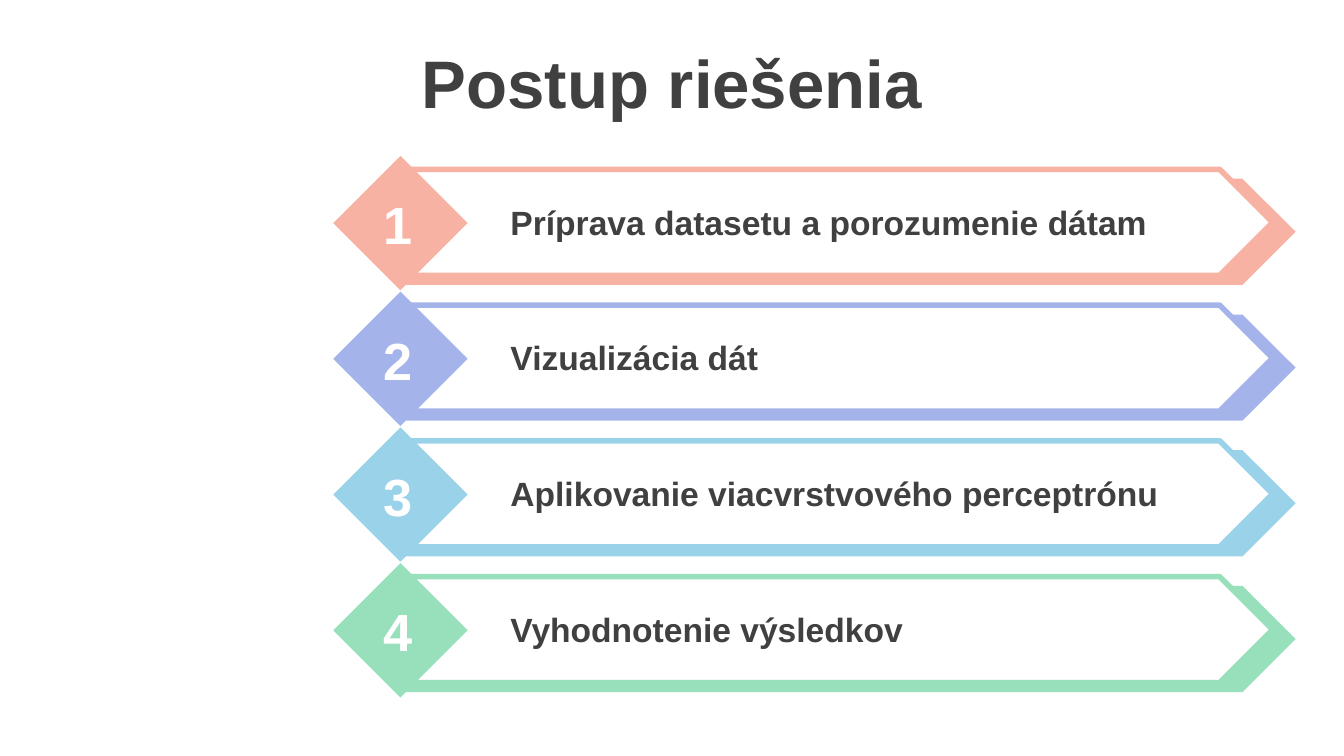
"""Build the slide with four numbered solution steps."""
from pptx import Presentation
from pptx import util as u
from pptx.dml.color import RGBColor
from pptx.enum import shapes, text

STEPS = [
    ("Príprava datasetu a porozumenie dátam", "F8B2A3"),
    ("Vizualizácia dát", "A4B4EA"),
    ("Aplikovanie viacvrstvového perceptrónu", "9AD3E9"),
    ("Vyhodnotenie výsledkov", "98DFBB"),
]
DARK, WHITE = "404040", "FFFFFF"
TOP, PITCH = 1.16, 1.01
BAR_X, BAR_H = 3, 0.79
KINDS = shapes.MSO_SHAPE


def rgb(value):
    return RGBColor.from_string(value)


def write(sp, words, size=18, color=DARK, align=text.PP_ALIGN.LEFT,
          anchor=text.MSO_ANCHOR.TOP):
    tf = sp.text_frame
    tf.word_wrap = True
    tf.auto_size = text.MSO_AUTO_SIZE.NONE
    tf.vertical_anchor = anchor
    p = tf.paragraphs[0]
    p.alignment = align
    r = p.add_run()
    r.text = words
    r.font.name, r.font.size, r.font.bold = "Arial", u.Pt(size), True
    r.font.color.rgb = rgb(color)


def add_shape(s, kind, box, fill, line=None):
    sp = s.shapes.add_shape(kind, *map(u.Inches, box))
    sp.shadow.inherit = False
    sp.fill.solid()
    sp.fill.fore_color.rgb = rgb(fill)
    if line:
        sp.line.color.rgb = rgb(line)
        sp.line.width = u.Pt(3)
    else:
        sp.line.fill.background()


def add_text(s, box, words, **fmt):
    write(s.shapes.add_textbox(*map(u.Inches, box)), words, **fmt)


def add_step(s, number, label, color):
    y = TOP + (number - 1) * PITCH
    add_shape(s, KINDS.PENTAGON, (BAR_X, y + 0.17, 6.64, BAR_H), color)
    add_shape(s, KINDS.PENTAGON, (BAR_X, y + 0.1, 6.47, BAR_H), WHITE, line=color)
    add_shape(s, KINDS.DIAMOND, (2.48, y, 1, 1), color)
    add_text(s, (2.74, y + 0.22, 0.44, 0.57), str(number), size=28, color=WHITE,
             align=text.PP_ALIGN.CENTER, anchor=text.MSO_ANCHOR.MIDDLE)
    add_text(s, (3.7, y + 0.29, 5.2, 0.4), label)


def main():
    prs = Presentation()
    prs.slide_width = u.Inches(10)
    prs.slide_height = prs.slide_width * 9 // 16
    s = prs.slides.add_slide(prs.slide_layouts[5])
    title = s.shapes.title
    title.left, title.top = u.Inches(0), u.Inches(0.29)
    title.width, title.height = prs.slide_width, u.Inches(0.63)
    write(title, "Postup riešenia", size=36, align=text.PP_ALIGN.CENTER,
          anchor=text.MSO_ANCHOR.MIDDLE)
    for number, (label, color) in enumerate(STEPS, 1):
        add_step(s, number, label, color)
    prs.save("out.pptx")


if __name__ == "__main__":
    main()
